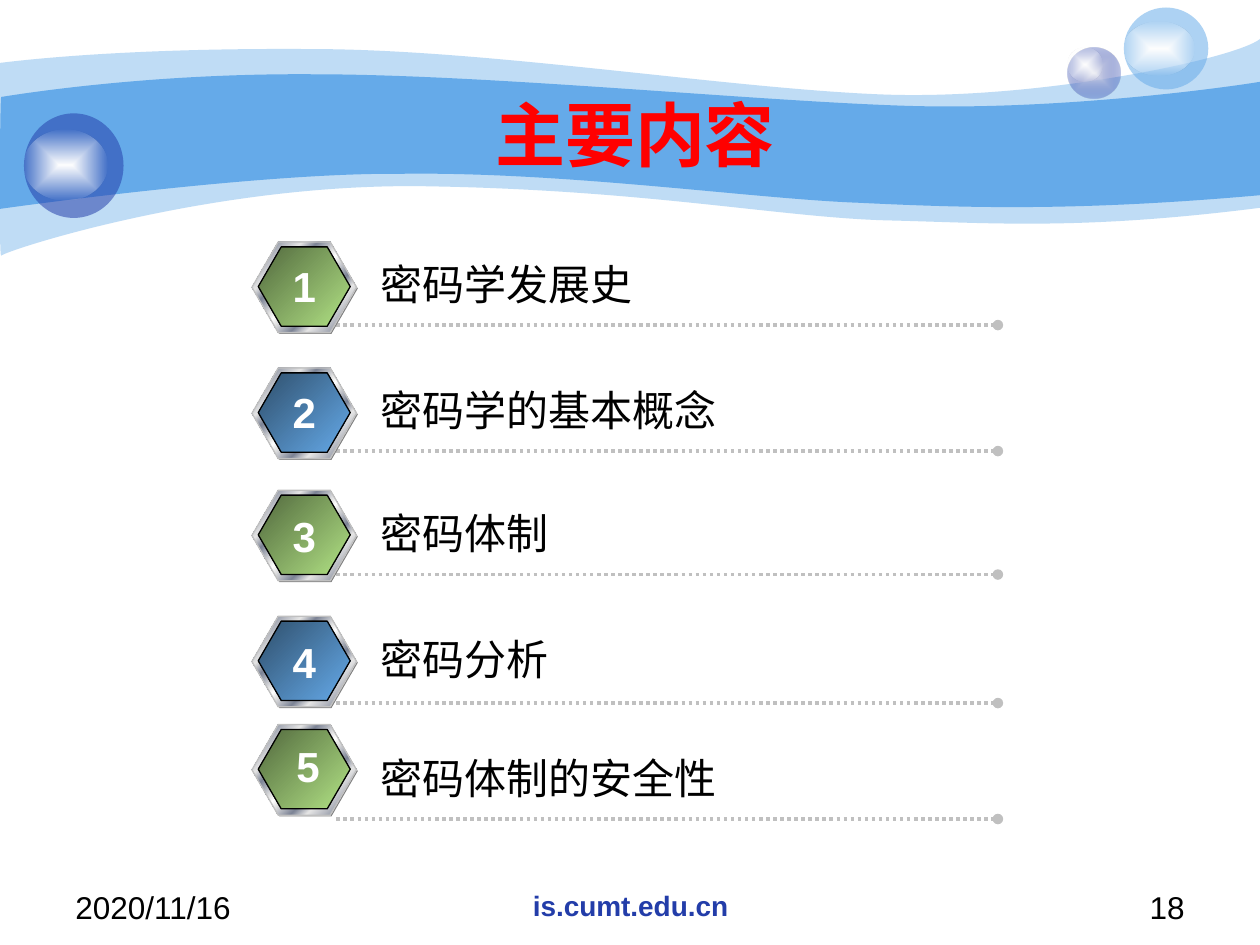
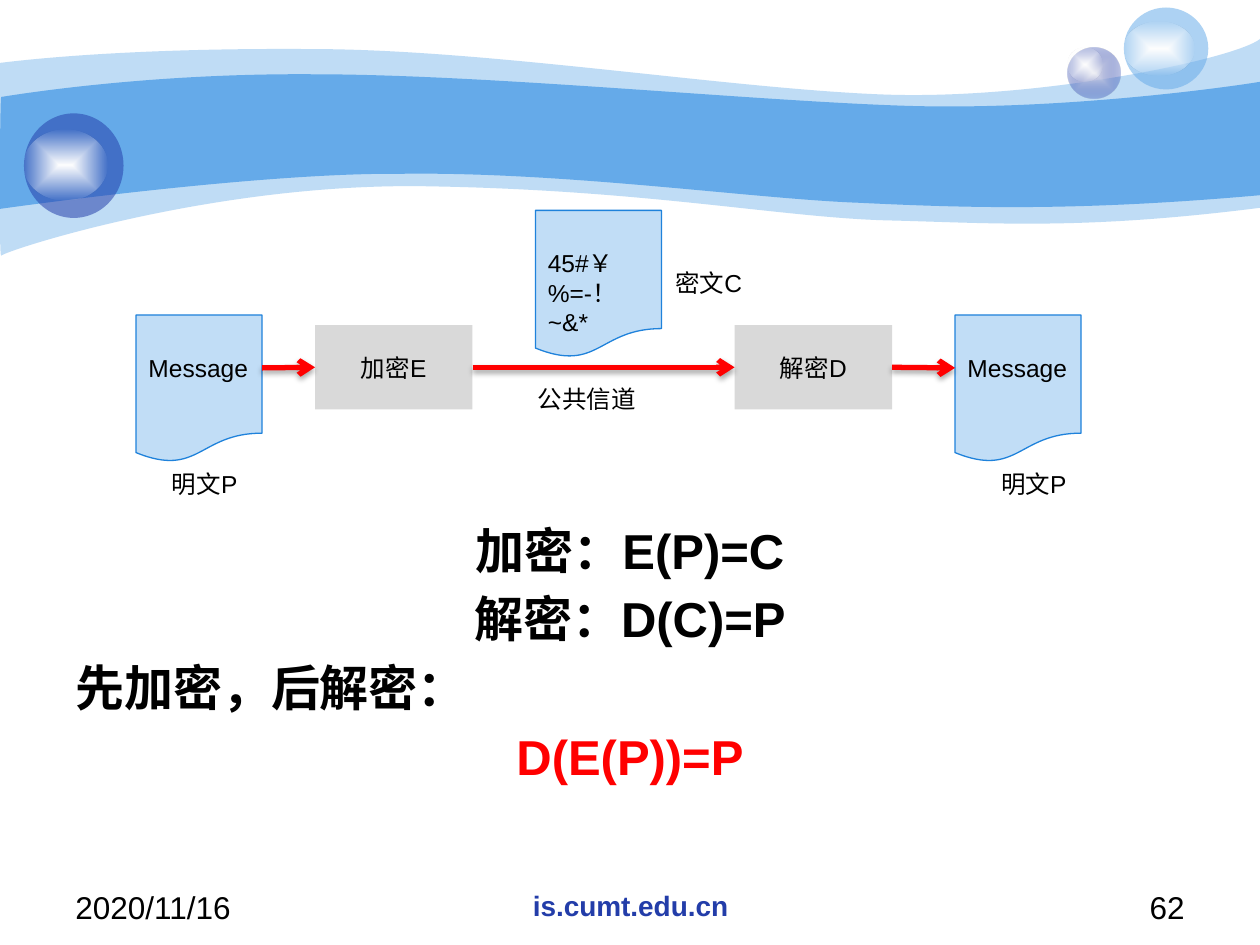
from pptx import Presentation
from pptx.dml.color import RGBColor
from pptx.enum.dml import MSO_LINE
from pptx.enum.shapes import MSO_CONNECTOR, MSO_SHAPE
from pptx.enum.text import MSO_ANCHOR, PP_ALIGN
from pptx.oxml import parse_xml
from pptx.oxml.ns import nsdecls, qn
from pptx.util import Inches, Pt

LEFT, CENTER, RIGHT = PP_ALIGN.LEFT, PP_ALIGN.CENTER, PP_ALIGN.RIGHT
MIDDLE, TOP = MSO_ANCHOR.MIDDLE, MSO_ANCHOR.TOP
STRAIGHT, ROUND_DOT = MSO_CONNECTOR.STRAIGHT, MSO_LINE.ROUND_DOT
ELLIPSE, HEXAGON = MSO_SHAPE.OVAL, MSO_SHAPE.HEXAGON
DOCUMENT, RECTANGLE = MSO_SHAPE.FLOWCHART_DOCUMENT, MSO_SHAPE.RECTANGLE
LEFT_SIDE, RIGHT_SIDE = 1, 3


class Theme:
    font = "Arial"
    black, white, red = "000000", "FFFFFF", "FF0000"
    sky, navy, pearl = "65AAE9", "233DA9", "E1E2ED"
    green, dark_green, dark_sky = "B2E385", "52693E", "2F4F6C"
    silver, steel, gray, dark_gray = "E6E6E6", "7D8496", "C0C0C0", "808080"
    paper, paper_edge, box = "C1DDF6", "1F82DB", "D9D9D9"
    title, body, item, footer, site, diagram = 40, 28, 24, 18, 16, 14


DIAGONAL = '<a:lin ang="2700000" scaled="0"/>'
FROM_CENTER = ('<a:path path="shape"><a:fillToRect l="50000" t="50000" '
               'r="50000" b="50000"/></a:path>')


def paint(shape, stops, direction=DIAGONAL, line=None):
    """Fill from (position, colour[, opacity]) stops; one stop is solid."""
    colors = []
    for position, color, *opacity in stops:
        alpha = "".join(f'<a:alpha val="{percent * 1000}"/>' for percent in opacity)
        colors.append((position, f'<a:srgbClr val="{color}">{alpha}</a:srgbClr>'))
    if len(colors) == 1:
        xml = f'<a:solidFill {nsdecls("a")}>{colors[0][1]}</a:solidFill>'
    else:
        steps = "".join(f'<a:gs pos="{position * 1000}">{color}</a:gs>'
                        for position, color in colors)
        xml = (f'<a:gradFill {nsdecls("a")} rotWithShape="1">'
               f'<a:gsLst>{steps}</a:gsLst>{direction}</a:gradFill>')
    shape.fill.solid()
    properties = shape._element.spPr
    properties.replace(properties.find(qn("a:solidFill")), parse_xml(xml))
    if line:
        shape.line.color.rgb = RGBColor.from_string(line)
        shape.line.width = Pt(0.75)
    else:
        shape.line.fill.background()
    shape.shadow.inherit = False


def write(shape, lines, size, align=LEFT, color=Theme.black, bold=False,
          anchor=TOP, wrap=True):
    frame = shape.text_frame
    frame.word_wrap = wrap
    frame.vertical_anchor = anchor
    frame.text = lines
    for index, paragraph in enumerate(frame.paragraphs):
        paragraph.alignment = align
        if index:
            paragraph.space_before = Pt(size * 0.2)
        paragraph.font.name = Theme.font
        paragraph.font.size = Pt(size)
        paragraph.font.bold = bold
        paragraph.font.color.rgb = RGBColor.from_string(color)


presentation = Presentation()
presentation.slide_width = Inches(10)
presentation.slide_height = Inches(7.5)

# Each wave is a start point followed by lines (one point) and curves (three points).
pale_wave = [
    (0, 0.5),
    [(0.24, 0.47), (1.07, 0.38), (2.47, 0.39)],
    [(3.86, 0.39), (5.75, 0.7), (6.99, 0.75)],
    [(8.22, 0.8), (9.8, 0.47), (10, 0.31)],
    [(10, 1.65)],
    [(8.58, 1.83), (7.87, 1.77), (7.05, 1.75)],
    [(6.22, 1.73), (5.15, 1.51), (3.43, 1.48)],
    [(1.72, 1.44), (0.04, 1.99), (0.01, 2.03)],
    [(-0.01, 2.08), (0, 0.75), (0, 0.5)],
]
strong_wave = [
    (0.01, 0.77),
    [(0.02, 0.77), (1.1, 0.58), (2.48, 0.59)],
    [(3.86, 0.59), (5.95, 0.8), (7.18, 0.84)],
    [(8.41, 0.88), (9.76, 0.69), (10, 0.65)],
    [(10, 1.55)],
    [(8.53, 1.68), (7.65, 1.65), (6.82, 1.61)],
    [(5.99, 1.58), (4.47, 1.36), (3.17, 1.38)],
    [(2.03, 1.37), (-0.02, 1.66), (-0.01, 1.66)],
    [(0, 1.66), (0, 0.77), (0.01, 0.77)],
]
waves = [(pale_wave, 41), (strong_wave, 100)]

shine = [(0, Theme.white), (100, Theme.white, 0)]
bubbles = [
    ((8.47, 0.38, 0.42, 0.4), [(0, Theme.pearl), (100, Theme.navy, 31)]),
    ((8.47, 0.38, 0.28, 0.27), shine),
    ((8.92, 0.06, 0.67, 0.65), [(0, Theme.sky, 53)]),
    ((8.92, 0.17, 0.56, 0.43), shine),
    ((0.19, 0.9, 0.79, 0.83), [(0, Theme.navy, 53)]),
    ((0.19, 1.03, 0.66, 0.56), shine),
]

# Shared background and footers
slides = []
for page in ("18", "62"):
    slide = presentation.slides.add_slide(presentation.slide_layouts[6])
    slides.append(slide)
    for (start, *segments), opacity in waves:
        builder = slide.shapes.build_freeform(*map(Inches, start))
        builder.add_line_segments([tuple(map(Inches, point))
                                   for segment in segments for point in segment])
        wave = builder.convert_to_shape()
        outline = wave._element.spPr.find(".//" + qn("a:path"))
        corners = iter(outline.findall(qn("a:lnTo")))
        for segment in segments:
            controls = [next(corners) for _ in segment]
            if len(controls) == 3:
                curve = parse_xml(f'<a:cubicBezTo {nsdecls("a")}/>')
                controls[0].addprevious(curve)
                for control in controls:
                    curve.append(control[0])
                    outline.remove(control)
        paint(wave, [(0, Theme.sky, opacity)])
    for box, stops in bubbles:
        paint(slide.shapes.add_shape(ELLIPSE, *map(Inches, box)), stops, FROM_CENTER)
    for left, width, text, size, align, color, bold in (
        (0.5, 2.33, "2020/11/16", Theme.footer, LEFT, Theme.black, False),
        (3.42, 3.17, "is.cumt.edu.cn", Theme.site, CENTER, Theme.navy, True),
        (7.17, 2.33, page, Theme.footer, RIGHT, Theme.black, False),
    ):
        footer = slide.shapes.add_textbox(*map(Inches, (left, 7, width, 0.35)))
        write(footer, text, size, align, color, bold)

contents_slide, cipher_slide = slides
connectors = []  # (connector, colour, width, arrowhead, shadow)

# Contents list
shapes = contents_slide.shapes
title = shapes.add_textbox(*map(Inches, (1, 0.75, 8.08, 0.62)))
write(title, "主要内容", Theme.title, CENTER, Theme.red, True, MIDDLE)

metal = [(0, Theme.silver), (8, Theme.steel), (26, Theme.silver), (34, Theme.steel),
         (46, Theme.silver), (50, Theme.white), (54, Theme.silver), (66, Theme.steel),
         (74, Theme.silver), (93, Theme.steel), (100, Theme.silver)]
green_face = [(0, Theme.dark_green), (100, Theme.green)]
blue_face = [(0, Theme.dark_sky), (100, Theme.sky)]
# text, hexagon top, label top, rule height, number position
items = [
    ("密码学发展史", 1.92, 2, 2.58, (2.22, 2.02)),
    ("密码学的基本概念", 2.92, 3, 3.58, (2.22, 3.02)),
    ("密码体制", 3.89, 3.98, 4.56, (2.22, 4)),
    ("密码分析", 4.89, 4.98, 5.58, (2.22, 5)),
    ("密码体制的安全性", 5.75, 5.92, 6.5, (2.25, 5.83)),
]
for number, (text, top, label_top, rule_y, number_at) in enumerate(items, 1):
    rule = shapes.add_connector(STRAIGHT, *map(Inches, (2.67, rule_y, 7.92, rule_y)))
    rule.line.dash_style = ROUND_DOT
    connectors.append((rule, Theme.gray, 2, "oval", ""))
    face = green_face if number % 2 else blue_face
    for box, stops, line in (
        ((2.01, top + 0.01, 0.83, 0.72), [(0, Theme.dark_gray)], None),
        ((2, top, 0.83, 0.72), metal, Theme.gray),
        ((2.05, top + 0.04, 0.73, 0.63), face, Theme.black),
    ):
        hexagon = shapes.add_shape(HEXAGON, *map(Inches, box))
        hexagon.adjustments[0] = 0.29
        paint(hexagon, stops, line=line)
    label_width = 0.22 + len(text) / 3
    label = shapes.add_textbox(*map(Inches, (2.92, label_top, label_width, 0.5)))
    write(label, text, Theme.item, wrap=False)
    badge = shapes.add_textbox(*map(Inches, (*number_at, 0.39, 0.5)))
    write(badge, str(number), Theme.item, CENTER, Theme.white, True, wrap=False)

# Encryption and decryption
shapes = cipher_slide.shapes
formulas = shapes.add_textbox(*map(Inches, (0.5, 4.08, 9, 2.83)))
write(formulas, "加密：E(P)=C\n解密：D(C)=P\n先加密，后解密：\nD(E(P))=P",
      Theme.body, CENTER, bold=True)
formulas.text_frame.paragraphs[2].alignment = LEFT
formulas.text_frame.paragraphs[3].font.color.rgb = RGBColor.from_string(Theme.red)

for left, top, text, height in (
    (1.08, 2.5, "Message", 0.34),
    (4.25, 1.67, "45#￥%=-！~&*", 0.57),
    (7.58, 2.5, "Message", 0.34),
):
    document = shapes.add_shape(DOCUMENT, *map(Inches, (left, top, 1, 1.17)))
    paint(document, [(0, Theme.paper)], line=Theme.paper_edge)
    content = shapes.add_textbox(*map(Inches, (left, top + 0.25, 1, height)))
    write(content, text, Theme.diagram)

steps = []
for left, text in ((2.5, "加密E"), (5.83, "解密D")):
    step_box = shapes.add_shape(RECTANGLE, *map(Inches, (left, 2.58, 1.25, 0.67)))
    paint(step_box, [(0, Theme.box)])
    write(step_box, text, Theme.diagram, CENTER, anchor=MIDDLE)
    steps.append(step_box)
encrypt, decrypt = steps

arrow_shadow = ('<a:outerShdw blurRad="40000" dist="23000" dir="5400000" rotWithShape="0">'
                f'<a:srgbClr val="{Theme.black}"><a:alpha val="35000"/></a:srgbClr>'
                '</a:outerShdw>')
for start_x, end_x, source, target in (
    (2.08, 2.5, None, encrypt),
    (3.75, 5.83, encrypt, decrypt),
    (7.08, 7.58, decrypt, None),
):
    arrow = shapes.add_connector(STRAIGHT, *map(Inches, (start_x, 2.92, end_x, 2.92)))
    if source:
        arrow.begin_connect(source, RIGHT_SIDE)
    if target:
        arrow.end_connect(target, LEFT_SIDE)
    connectors.append((arrow, Theme.red, 3, "arrow", arrow_shadow))

for left, top, text, align in (
    (4.17, 3, "公共信道", LEFT),
    (1, 3.67, "明文P", CENTER),
    (7.58, 3.67, "明文P", CENTER),
    (5, 2.08, "密文C", CENTER),
):
    caption = shapes.add_textbox(*map(Inches, (left, top, 1.25, 0.34)))
    write(caption, text, Theme.diagram, align)

for connector, color, width, head, shadow in connectors:
    connector.line.color.rgb = RGBColor.from_string(color)
    connector.line.width = Pt(width)
    properties = connector._element.spPr
    properties.find(qn("a:ln")).append(
        parse_xml(f'<a:tailEnd {nsdecls("a")} type="{head}"/>'))
    properties.append(parse_xml(f'<a:effectLst {nsdecls("a")}>{shadow}</a:effectLst>'))

presentation.save("out.pptx")
